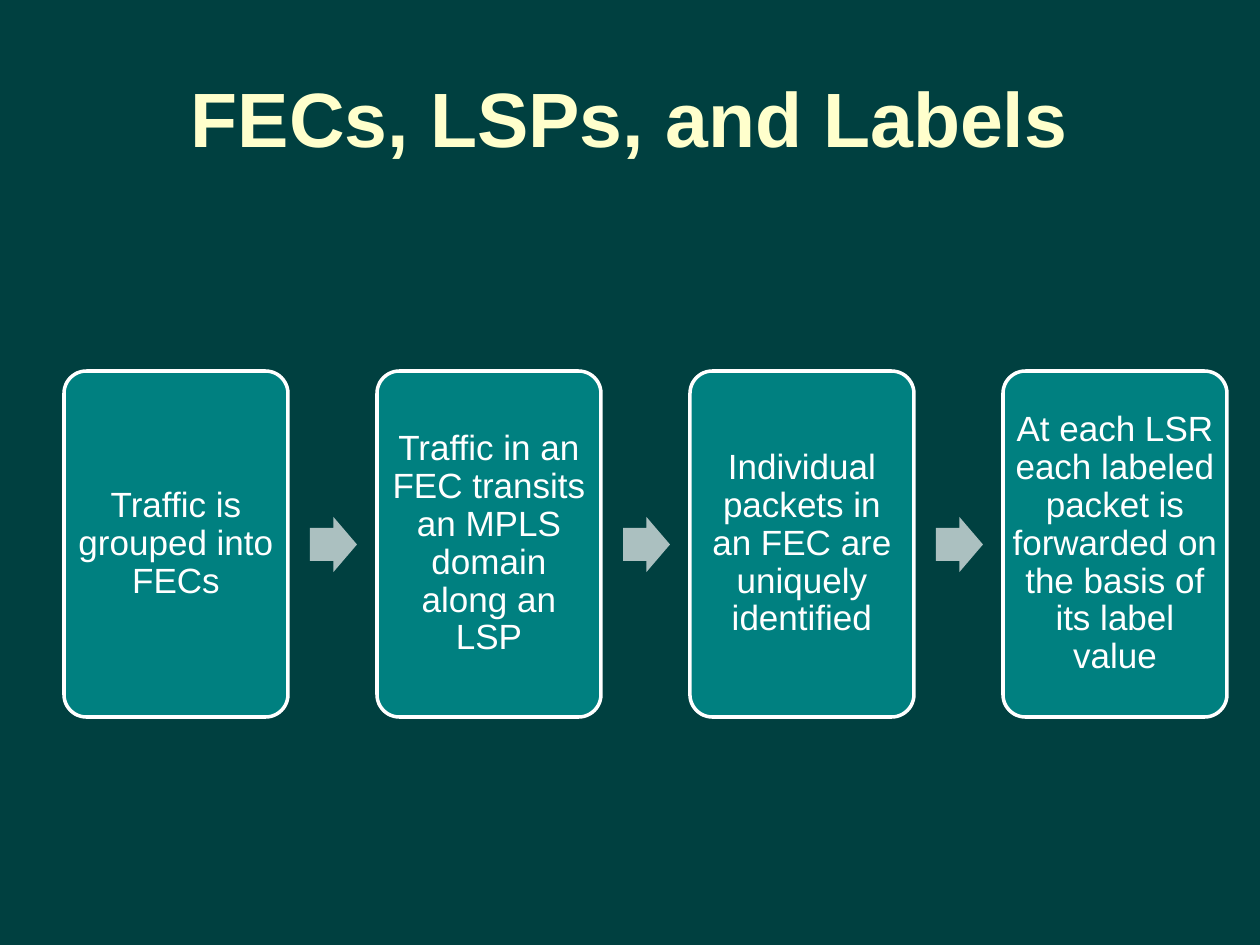
import pptx
import pptx.util
import pptx.dml.color
import pptx.enum.shapes
import pptx.enum.text

PX = 914400 // 126
KIND = pptx.enum.shapes.MSO_SHAPE
RGB = pptx.dml.color.RGBColor.from_string
THEME = {
    "font": "Arial", "back": "004040", "title": "FFFFCC", "box": "008080",
    "text": "FFFFFF", "arrow": "ABC0C0", "head": 44, "body": 20, "edge": 2,
}
STEPS = [
    "Traffic is grouped into FECs",
    "Traffic in an FEC transits an MPLS domain along an LSP",
    "Individual packets in an FEC are uniquely identified",
    "At each LSR each labeled packet is forwarded on the basis of its label value",
]


def write(shape, text, size, color, bold=False):
    frame = shape.text_frame
    frame.word_wrap = True
    frame.vertical_anchor = pptx.enum.text.MSO_ANCHOR.MIDDLE
    para = frame.paragraphs[0]
    para.text = text
    para.alignment = pptx.enum.text.PP_ALIGN.CENTER
    para.font.name = THEME["font"]
    para.font.size = pptx.util.Pt(size)
    para.font.bold = bold
    para.font.color.rgb = RGB(color)
    return frame


def draw(kind, left, top, width, height, color):
    shape = slide.shapes.add_shape(kind, left * PX, top * PX, width * PX, height * PX)
    shape.shadow.inherit = False
    shape.fill.solid()
    shape.fill.fore_color.rgb = RGB(color)
    return shape


# Slide
deck = pptx.Presentation()
deck.slide_width = 1260 * PX
deck.slide_height = 945 * PX
slide = deck.slides.add_slide(deck.slide_layouts[6])
slide.background.fill.solid()
slide.background.fill.fore_color.rgb = RGB(THEME["back"])

# Title
title = slide.shapes.add_textbox(63 * PX, 38 * PX, 1134 * PX, 158 * PX)
write(title, "FECs, LSPs, and Labels", THEME["head"], THEME["title"], True)

# Steps, with an arrow after each but the last
for i, step in enumerate(STEPS):
    left = 64 + 313 * i
    box = draw(KIND.ROUNDED_RECTANGLE, left, 371, 224, 346, THEME["box"])
    box.adjustments[0] = 0.1
    box.line.color.rgb = RGB(THEME["text"])
    box.line.width = pptx.util.Pt(THEME["edge"])
    frame = write(box, step, THEME["body"], THEME["text"])
    frame.margin_left = frame.margin_right = 3 * PX
    frame.margin_top = frame.margin_bottom = 3 * PX
    frame.paragraphs[0].line_spacing = 0.9
    if i < len(STEPS) - 1:
        arrow = draw(KIND.RIGHT_ARROW, left + 246, 517, 47, 55, THEME["arrow"])
        arrow.adjustments[0] = 0.6
        arrow.line.fill.background()

deck.save("out.pptx")
